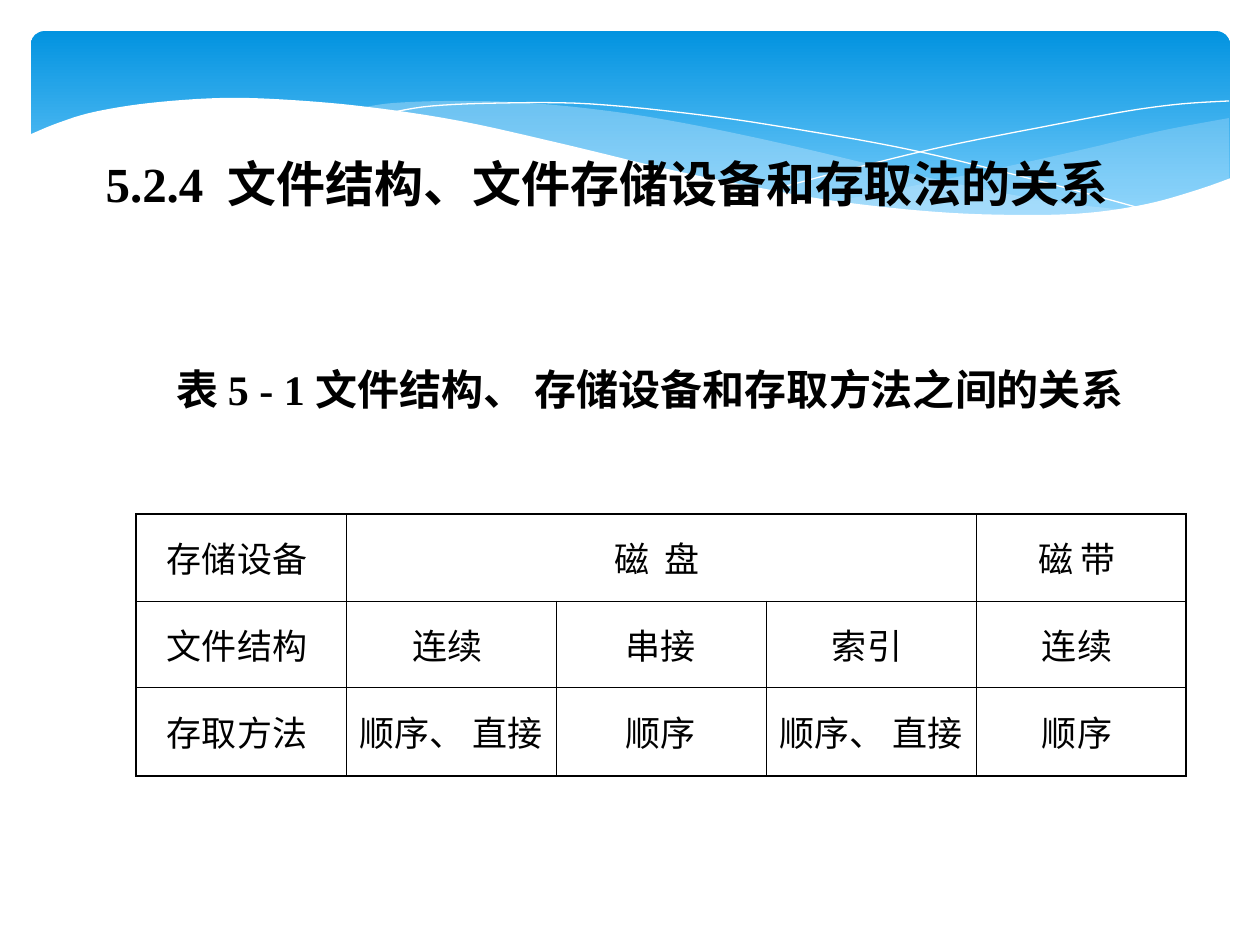
from lxml import etree
from pptx import Presentation
from pptx import util as u
from pptx.dml.color import RGBColor
from pptx.enum import shapes, text
from pptx.oxml.ns import qn

PX = 914400 / 126
FONT = "Times New Roman"
BLACK = RGBColor(0, 0, 0)
WHITE = RGBColor(255, 255, 255)
PALE = RGBColor(0xC6, 0xE7, 0xFC)
SKY_TOP = RGBColor(0x02, 0x93, 0xE0)
SKY_BOTTOM = RGBColor(0x83, 0xD3, 0xFE)

TITLE = "5.2.4  文件结构、文件存储设备和存取法的关系"
CAPTION = "表 5 - 1 文件结构、 存储设备和存取方法之间的关系"
ROWS = [
    ["存储设备 ", "磁  盘 ", None, None, "磁 带 "],
    ["文件结构 ", "连续 ", "串接", "索引 ", "连续 "],
    ["存取方法 ", "顺序、 直接 ", "顺序", "顺序、 直接 ", "顺序 "],
]
TABLE_LEFT, TABLE_TOP, COL_WIDTH = 136, 514, 210
ROW_HEIGHTS = [87, 86, 89]

RIGHT_SWELL = [
    [(1229, 118), (1160, 131), (1085, 149), (981, 172), (833, 202)],
    [(833, 202), (922, 212), (1012, 217), (1087, 214), (1160, 202), (1229, 179)],
]
MIDDLE_SWELL = [
    [(1125, 210), (1055, 202), (977, 188), (890, 169), (793, 146), (699, 126),
     (616, 112), (529, 103), (455, 101), (394, 103), (360, 108)],
    [(360, 108), (456, 122), (566, 146), (668, 170), (757, 189), (838, 203),
     (910, 212), (989, 217), (1056, 217), (1125, 210)],
]
LONG_LINE = [[(389, 113), (432, 106), (505, 103), (591, 104), (701, 115),
              (801, 130), (916, 151), (1047, 183), (1143, 209)]]
RISING_LINE = [[(772, 190), (847, 170), (942, 147), (1053, 125),
                (1128, 111), (1181, 104), (1229, 101)]]
WHITE_WAVE = [
    [(29, 135), (58, 123), (94, 112), (150, 103), (222, 98), (290, 100),
     (368, 107), (460, 121), (563, 144), (667, 169), (760, 188), (842, 202),
     (937, 212), (1019, 215), (1087, 213), (1147, 204), (1197, 190), (1231, 178)],
    [(1231, 282), (29, 282)],
]
WAVES = [
    (RIGHT_SWELL, PALE, 29),
    (MIDDLE_SWELL, PALE, 40),
    (LONG_LINE, None, 100),
    (RISING_LINE, None, 100),
    (WHITE_WAVE, WHITE, 100),
]


def px(n):
    return u.Emu(round(n * PX))


def smooth(knots, steps=6):
    if len(knots) < 3:
        return knots
    ends = [knots[0], *knots, knots[-1]]
    points = [knots[0]]
    for a, b, c, d in zip(ends, ends[1:], ends[2:], ends[3:]):
        for i in range(1, steps + 1):
            t = i / steps
            points.append(tuple(
                (2 * q + (r - p) * t + (2 * p - 5 * q + 4 * r - w) * t ** 2
                 + (3 * q - p - 3 * r + w) * t ** 3) / 2
                for p, q, r, w in zip(a, b, c, d)))
    return points


def add_wave(s, curves, color, opacity):
    points = [(px(x), px(y)) for curve in curves for x, y in smooth(curve)]
    fb = s.shapes.build_freeform(*points[0], scale=1.0)
    fb.add_line_segments(points[1:], close=color is not None)
    sp = fb.convert_to_shape()
    sp.shadow.inherit = False
    if color is None:
        sp.fill.background()
        sp.line.color.rgb = WHITE
        sp.line.width = u.Pt(0)
        return
    sp.fill.solid()
    sp.fill.fore_color.rgb = color
    sp.line.fill.background()
    if opacity < 100:
        clr = sp._element.spPr.find(qn("a:solidFill"))[0]
        etree.SubElement(clr, qn("a:alpha"), val=str(opacity * 1000))


def write(tf, words, size, bold=False, align=text.PP_ALIGN.LEFT):
    p = tf.paragraphs[0]
    p.alignment = align
    r = p.add_run()
    r.text = words
    r.font.name = FONT
    r.font.size = u.Pt(size)
    r.font.bold = bold
    r.font.color.rgb = BLACK
    return p


def write_heading(sp, words, size, box):
    sp.left, sp.top, sp.width, sp.height = map(px, box)
    tf = sp.text_frame
    tf.word_wrap = False
    tf.auto_size = text.MSO_AUTO_SIZE.SHAPE_TO_FIT_TEXT
    tf.vertical_anchor = text.MSO_ANCHOR.TOP
    write(tf, words, size, bold=True)


def set_border(cell, side, points):
    ln = etree.SubElement(cell._tc.get_or_add_tcPr(), qn("a:" + side), w=str(u.Pt(points)))
    fill = etree.SubElement(ln, qn("a:solidFill"))
    etree.SubElement(fill, qn("a:srgbClr"), val=str(BLACK))


def add_table(s):
    n_rows, n_cols = len(ROWS), len(ROWS[0])
    table = s.shapes.add_table(n_rows, n_cols, px(TABLE_LEFT), px(TABLE_TOP),
                               px(COL_WIDTH * n_cols), px(sum(ROW_HEIGHTS))).table
    table.first_row = table.horz_banding = False
    for col in table.columns:
        col.width = px(COL_WIDTH)
    for row, height in zip(table.rows, ROW_HEIGHTS):
        row.height = px(height)
    table.cell(0, 1).merge(table.cell(0, 3))
    for i, row in enumerate(ROWS):
        for j, words in enumerate(row):
            cell = table.cell(i, j)
            outer = {"lnL": j == 0, "lnR": j == n_cols - 1,
                     "lnT": i == 0, "lnB": i == n_rows - 1}
            for side, is_outer in outer.items():
                set_border(cell, side, 1.08 if is_outer else 0.45)
            cell.fill.background()
            cell.vertical_anchor = text.MSO_ANCHOR.MIDDLE
            if words:
                p = write(cell.text_frame, words, 20, align=text.PP_ALIGN.CENTER)
                p.space_before = u.Pt(5)


def main():
    prs = Presentation()
    prs.slide_width, prs.slide_height = px(1260), px(945)
    s = prs.slides.add_slide(prs.slide_layouts[5])

    sky = s.shapes.add_shape(shapes.MSO_SHAPE.ROUNDED_RECTANGLE,
                             px(31), px(31), px(1199), px(197))
    sky.adjustments[0] = 0.07
    sky.shadow.inherit = False
    sky.line.fill.background()
    sky.fill.gradient()
    sky.fill.gradient_angle = 270
    for stop, color in zip(sky.fill.gradient_stops, (SKY_TOP, SKY_BOTTOM)):
        stop.color.rgb = color

    for wave in WAVES:
        add_wave(s, *wave)

    title = s.shapes.title
    s.shapes._spTree.append(title._element)
    write_heading(title, TITLE, 28, (93, 147, 1040, 72))
    caption = s.shapes.add_textbox(0, 0, 0, 0)
    write_heading(caption, CAPTION, 24, (164, 357, 1002, 63))
    add_table(s)
    prs.save("out.pptx")


if __name__ == "__main__":
    main()
